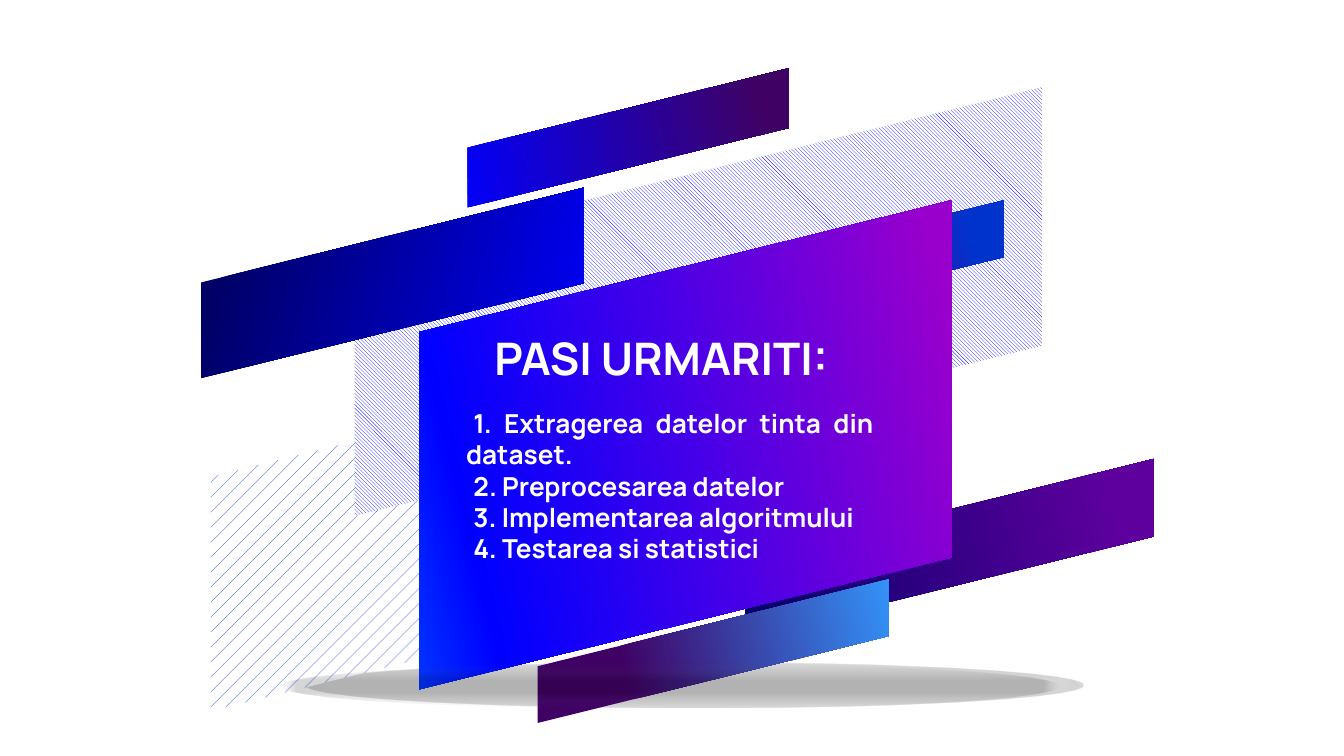
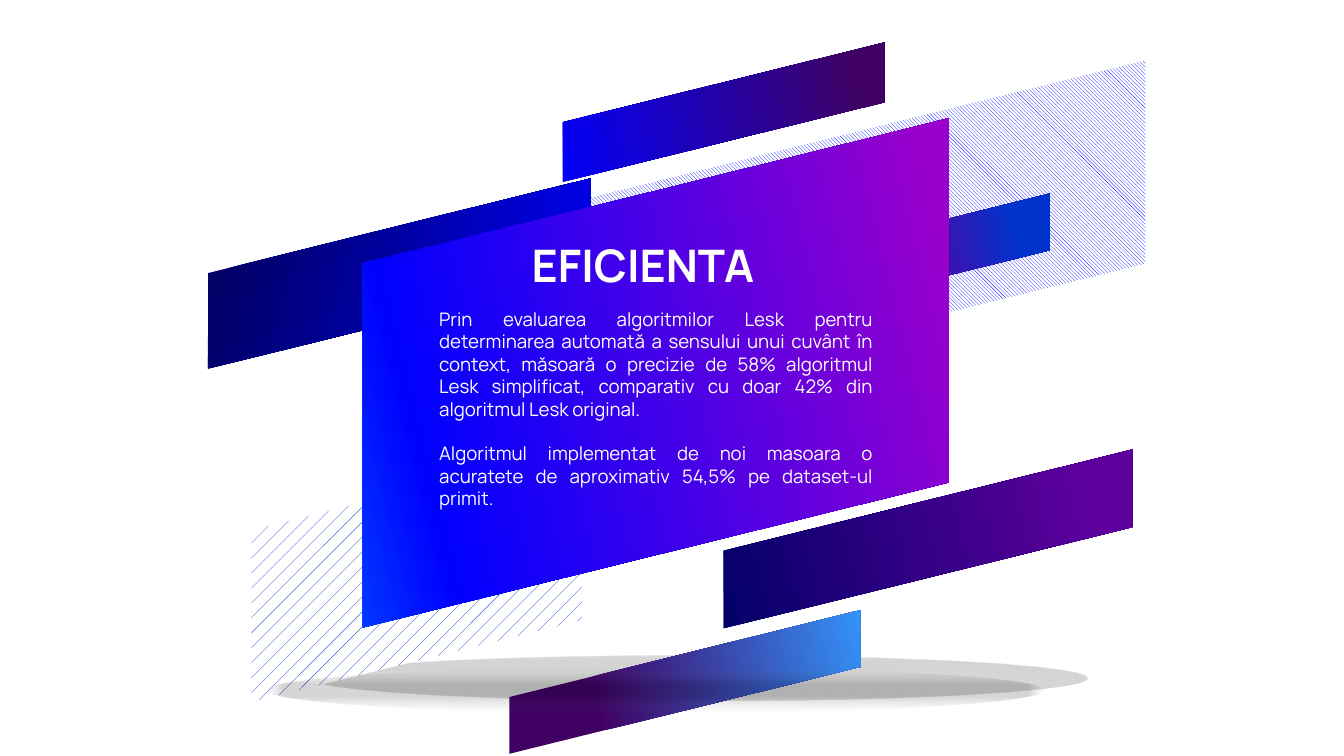
"""Builds two slides of slanted gradient bands around a text panel."""
from math import radians, tan

from lxml.etree import SubElement
from pptx import Presentation
from pptx.dml.color import RGBColor
from pptx.enum.dml import MSO_PATTERN
from pptx.enum.shapes import MSO_SHAPE
from pptx.enum.text import MSO_AUTO_SIZE, PP_ALIGN
from pptx.oxml.ns import qn
from pptx.util import Pt

FONT = "Manrope"
TILT = 13.9
COLORS = {
    "white": "FFFFFF", "black": "000000", "gray": "808080",
    "navy": "000066", "blue": "0000FF", "azure": "0066FF",
    "royal": "0033CC", "sky": "3399FF", "violet": "5E009E",
    "plum": "3F0264", "purple": "9900CC",
}
SHADOW_SIZE = (417, 23.8)
SHADE = (27, "black", 16)
FLOOR = [SHADE, (100, "gray", 28)]
GLOW = [SHADE, (100, "gray", 0)]
PATTERNS = {
    "stripes": (MSO_PATTERN.PERCENT_10, "royal"),
    "hatch": (MSO_PATTERN.LIGHT_DOWNWARD_DIAGONAL, "blue"),
}
BANDS = {
    "right": ((235.4, 40.3), [(0, "navy"), (87, "violet")], 0),
    "top": ((185, 31), [(0, "blue"), (87, "plum")], 0),
    "accent": ((200.9, 29.5), [(56, "violet"), (87, "royal")], 0),
    "left": ((223.2, 49.7), [(13, "navy"), (100, "blue")], 30),
    "panel": (None, [(0, "azure"), (21, "blue"), (87, "purple")], 0),
    "bottom": ((200.9, 29.5), [(27, "plum"), (100, "sky")], 0),
}
STEPS_LAYOUT = {
    "floor": (163.5, 355), "glow": (150.5, 355.7),
    "stripes": (95, 233.3, 229.7, 121.7),
    "hatch": (167.8, 94.3, 412.6, 134.6),
    "right": (391, 273.6), "top": (244.1, 58.3),
    "accent": (343.4, 131), "left": (98.6, 126.7),
    "panel": (197.3, 145.4, 339.8, 185.8), "bottom": (281.5, 334.1),
}
RESULTS_LAYOUT = {
    "floor": (165.6, 351.4), "glow": (142.6, 357.8),
    "stripes": (121, 263.5, 204.5, 89.3),
    "hatch": (229, 79.2, 403.2, 105.8),
    "right": (379.4, 268.6), "top": (295.2, 44.6),
    "accent": (367.9, 127.4), "left": (102.2, 121.7),
    "panel": (166.3, 105.1, 370.1, 189.4), "bottom": (266.4, 350.6),
}
STEPS = [
    "1. Extragerea datelor tinta din dataset.",
    "2. Preprocesarea datelor",
    "3. Implementarea algoritmului",
    "4. Testarea si statistici",
]
RESULTS = [
    "Prin evaluarea algoritmilor Lesk pentru determinarea automată a "
    "sensului unui cuvânt în context, măsoară o precizie de 58% algoritmul "
    "Lesk simplificat, comparativ cu doar 42% din algoritmul Lesk original.",
    "Algoritmul implementat de noi masoara o acuratete de aproximativ 54,5% "
    "pe dataset-ul primit.",
]


def color(name):
    """Return the named palette colour."""
    return RGBColor.from_string(COLORS[name])


def add_plain_shape(page, kind, place):
    """Add a preset shape with neither outline nor shadow."""
    shape = page.shapes.add_shape(kind, *map(Pt, place))
    shape.shadow.inherit = False
    shape.line.fill.background()
    return shape


def fill_gradient(shape, stops, angle=None):
    """Fill with a linear gradient, or from the centre if angle is None."""
    shape.fill.background()
    properties = shape._element.spPr
    blank = properties.find(qn("a:noFill"))
    gradient = properties.makeelement(qn("a:gradFill"), {"rotWithShape": "1"})
    properties.replace(blank, gradient)
    stop_list = SubElement(gradient, qn("a:gsLst"))
    for position, name, *alpha in stops:
        stop = SubElement(stop_list, qn("a:gs"), pos=str(position * 1000))
        tint = SubElement(stop, qn("a:srgbClr"), val=COLORS[name])
        for percent in alpha:
            SubElement(tint, qn("a:alpha"), val=str(percent * 1000))
    if angle is None:
        path = SubElement(gradient, qn("a:path"), {"path": "shape"})
        sides = {side: "50000" for side in "ltrb"}
        SubElement(path, qn("a:fillToRect"), sides)
    else:
        SubElement(gradient, qn("a:lin"), ang=str(angle * 60000), scaled="0")


def add_band(page, place):
    """Add a tilted parallelogram whose short sides stand upright."""
    band = add_plain_shape(page, MSO_SHAPE.PARALLELOGRAM, place)
    band.adjustments[0] = tan(radians(TILT))
    band.rotation = 360 - TILT
    return band


def add_shadow(page, corner, stops):
    """Add a soft elliptical shadow under the bands."""
    shadow = add_plain_shape(page, MSO_SHAPE.OVAL, corner + SHADOW_SIZE)
    fill_gradient(shadow, stops)


def add_backdrop(page, layout):
    """Add the shadows, patterned areas and gradient bands."""
    add_shadow(page, layout["floor"], FLOOR)
    for name, (pattern, ink) in PATTERNS.items():
        fill = add_band(page, layout[name]).fill
        fill.patterned()
        fill.pattern = pattern
        fill.fore_color.rgb = color(ink)
        fill.back_color.rgb = color("white")
    for name, (size, stops, angle) in BANDS.items():
        band = add_band(page, layout[name] + (size or ()))
        fill_gradient(band, stops, angle)
    add_shadow(page, layout["glow"], GLOW)


def add_text(page, place, lines, size, align, bold=True, indent=0, gap=0):
    """Add a white text box with one paragraph for each line."""
    box = page.shapes.add_textbox(*map(Pt, place))
    frame = box.text_frame
    frame.word_wrap = True
    frame.auto_size = MSO_AUTO_SIZE.SHAPE_TO_FIT_TEXT
    for index, line in enumerate(lines):
        para = frame.add_paragraph() if index else frame.paragraphs[0]
        para.alignment = align
        if index and gap:
            para.space_before = Pt(gap)
        if indent:
            para._p.get_or_add_pPr().set("indent", str(Pt(indent)))
        span = para.add_run()
        span.text = line
        span.font.name = FONT
        span.font.size = Pt(size)
        span.font.bold = bold
        span.font.color.rgb = color("white")


def add_page(deck, layout):
    """Add a blank page with its backdrop."""
    page = deck.slides.add_slide(deck.slide_layouts[6])
    add_backdrop(page, layout)
    return page


def main():
    """Build and save the deck."""
    deck = Presentation()
    deck.slide_width, deck.slide_height = Pt(720), Pt(405)

    page = add_page(deck, STEPS_LAYOUT)
    add_text(page, (257.8, 173.5, 228.2, 36), ["PASI URMARITI:"], 24,
             PP_ALIGN.LEFT)
    add_text(page, (242.6, 214.6, 232.6, 92.2), STEPS, 14,
             PP_ALIGN.JUSTIFY, indent=4)

    page = add_page(deck, RESULTS_LAYOUT)
    add_text(page, (237.6, 123.8, 213.8, 36), ["EFICIENTA"], 24,
             PP_ALIGN.CENTER)
    add_text(page, (228.2, 161.3, 246.2, 104.4), RESULTS, 10,
             PP_ALIGN.JUSTIFY, bold=False, gap=12)

    deck.save("out.pptx")


if __name__ == "__main__":
    main()
